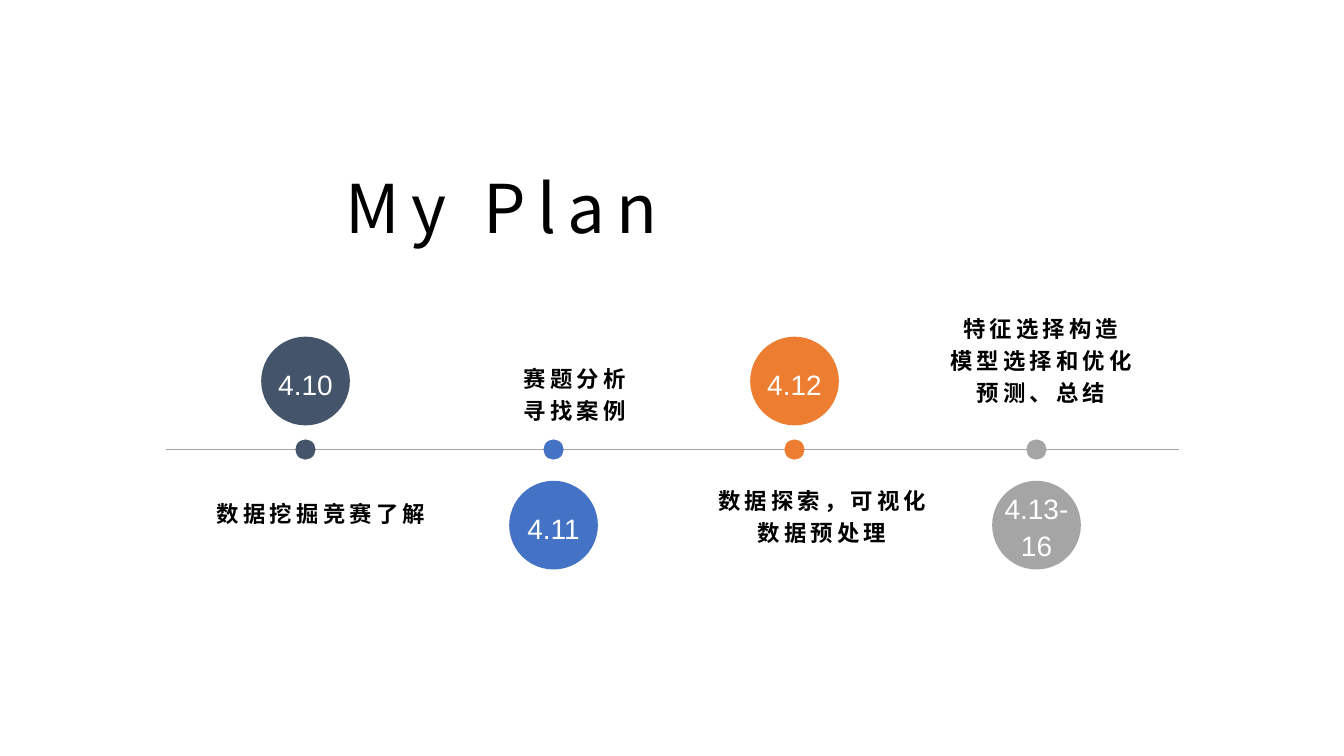
from dataclasses import dataclass

from lxml import etree
from pptx import Presentation
from pptx.dml.color import RGBColor
from pptx.enum.shapes import MSO_CONNECTOR, MSO_SHAPE
from pptx.enum.text import MSO_ANCHOR, PP_ALIGN
from pptx.oxml.ns import qn
from pptx.util import Inches, Pt


@dataclass(frozen=True)
class Theme:
    title_font: str = "Noto Sans CJK SC"
    body_font: str = "Arial"
    title_size: int = 48
    date_size: int = 20
    label_size: int = 16
    title_spacing: int = 8
    label_spacing: int = 3
    ink: str = "000000"
    paper: str = "FFFFFF"
    axis: str = "A6A6A6"
    navy: str = "44546A"
    blue: str = "4472C4"
    orange: str = "ED7D31"
    gray: str = "A5A5A5"


THEME = Theme()
DOT = 0.2
BADGE = 0.88


@dataclass(frozen=True)
class Milestone:
    date: str
    color: str
    center: float       # from the left end of the timeline
    badge_top: float    # from the timeline, negative is above
    label_box: tuple    # left and top from the timeline's start, width, height
    lines: tuple
    date_leading: float = 1.2


ABOVE, BELOW = -1.12, 0.31
MILESTONES = (
    Milestone("4.10", THEME.navy, 1.38, ABOVE, (0.17, 0.37, 2.73, 0.45),
              ("数据挖掘竞赛了解",)),
    Milestone("4.11", THEME.blue, 3.84, BELOW, (2.63, -0.92, 2.84, 0.72),
              ("赛题分析", "寻找案例")),
    Milestone("4.12", THEME.orange, 6.23, ABOVE, (5.14, 0.56, 2.73, 0.45),
              ("数据探索，可视化", "数据预处理")),
    Milestone("4.13-16", THEME.gray, 8.63, BELOW, (7.31, -0.83, 2.73, 0.45),
              ("特征选择构造", "模型选择和优化", "预测、总结"), 1.1),
)


def add_text(page, box, lines, size, font=THEME.body_font, color=THEME.ink,
             bold=False, spacing=0, leading=None, anchor=MSO_ANCHOR.TOP):
    frame = page.shapes.add_textbox(*map(Inches, box)).text_frame
    frame.word_wrap = True
    frame.vertical_anchor = anchor
    frame.text = "\n".join(lines)
    for para in frame.paragraphs:
        para.alignment = PP_ALIGN.CENTER
        para.line_spacing = leading
        para.font.name = font
        para.font.size = Pt(size)
        para.font.bold = bold
        para.font.color.rgb = RGBColor.from_string(color)
        if spacing:
            for run in para.runs:
                run.font.bold = bold
                run.font._element.set("spc", str(spacing * 100))


def add_circle(page, left, top, size, color):
    circle = page.shapes.add_shape(
        MSO_SHAPE.OVAL, Inches(left), Inches(top), Inches(size), Inches(size))
    circle.shadow.inherit = False
    circle.fill.solid()
    circle.fill.fore_color.rgb = RGBColor.from_string(color)
    circle.line.fill.background()


def add_title(page, box):
    add_text(page, box, ["My Plan"], THEME.title_size, THEME.title_font,
             spacing=THEME.title_spacing)


def add_milestone(page, left, axis, item):
    center = left + item.center
    add_circle(page, center - DOT / 2, axis - DOT / 2, DOT, item.color)

    # Date badge
    badge_left, badge_top = center - BADGE / 2, axis + item.badge_top
    add_circle(page, badge_left, badge_top, BADGE, item.color)
    add_text(page, (badge_left, badge_top, BADGE, BADGE), [item.date],
             THEME.date_size, color=THEME.paper, leading=item.date_leading,
             anchor=MSO_ANCHOR.MIDDLE)

    # Task label
    label_left, label_top, width, height = item.label_box
    add_text(page, (left + label_left, axis + label_top, width, height),
             item.lines, THEME.label_size, bold=True,
             spacing=THEME.label_spacing, leading=1.2,
             anchor=MSO_ANCHOR.BOTTOM)


def add_timeline(page, left, axis, width):
    line = page.shapes.add_connector(
        MSO_CONNECTOR.STRAIGHT, Inches(left), Inches(axis),
        Inches(left + width), Inches(axis))
    line.line.color.rgb = RGBColor.from_string(THEME.axis)
    line.line.width = Pt(1)
    etree.SubElement(line._element.spPr, qn("a:effectLst"))
    for item in MILESTONES:
        add_milestone(page, left, axis, item)


def main():
    deck = Presentation()
    deck.slide_width, deck.slide_height = Inches(13.33), Inches(7.5)
    page = deck.slides.add_slide(deck.slide_layouts[6])
    add_title(page, (1.92, 1.6, 6.11, 0.91))
    add_timeline(page, 1.65, 4.46, 10.04)
    deck.save("out.pptx")


if __name__ == "__main__":
    main()
